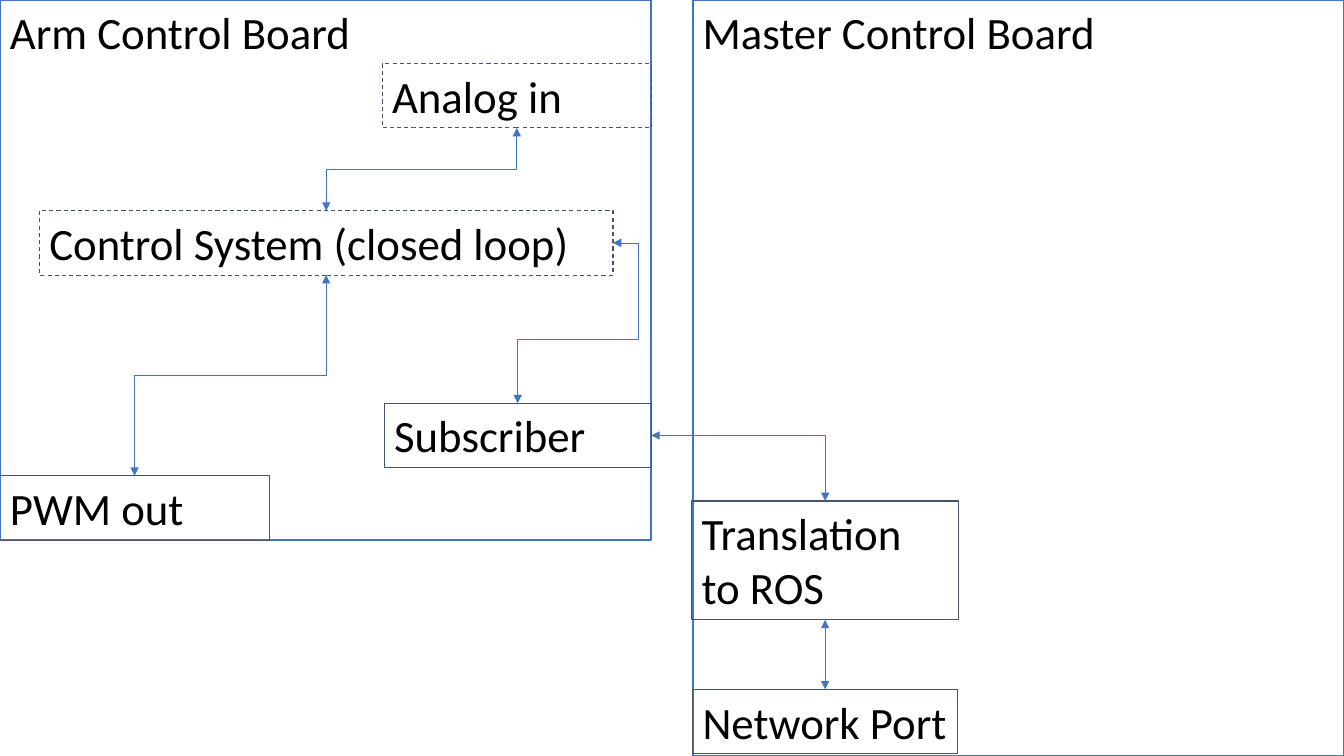
from lxml import etree
from pptx import Presentation
from pptx.dml.color import RGBColor
from pptx.enum.dml import MSO_LINE_DASH_STYLE as DASH
from pptx.enum.shapes import MSO_CONNECTOR, MSO_SHAPE
from pptx.enum.text import MSO_ANCHOR, PP_ALIGN
from pptx.oxml.ns import qn
from pptx.util import Inches, Pt

COLORS = {"blue": "4472C4", "slate": "44546A", "text": "000000"}
TOP, LEFT, BOTTOM, RIGHT = range(4)

presentation = Presentation()
presentation.slide_width = Inches(13.33)
presentation.slide_height = Inches(7.5)
slide = presentation.slides.add_slide(presentation.slide_layouts[6])

boxes = [
    ("Master Control Board", 6.87, 0, 6.46, 7.5, "blue", 1.5, None),
    ("Arm Control Board", 0, 0, 6.46, 5.36, "blue", 1.5, None),
    ("Translation to ROS", 6.86, 4.97, 2.65, 1.18, "slate", 0.75, None),
    ("Network Port", 6.87, 6.84, 2.63, 0.64, "slate", 0.75, None),
    ("Subscriber", 3.81, 4, 2.65, 0.64, "slate", 0.75, None),
    ("PWM out", 0, 4.72, 2.67, 0.64, "slate", 0.75, None),
    ("Control System (closed loop)", 0.39, 2.09, 5.69, 0.64, "slate", 0.75, DASH.DASH),
    ("Analog in", 3.79, 0.63, 2.67, 0.64, "slate", 0.75, DASH.DASH),
]
shapes = {}
for label, left, top, width, height, color, weight, dash in boxes:
    shape = slide.shapes.add_shape(
        MSO_SHAPE.RECTANGLE, Inches(left), Inches(top), Inches(width), Inches(height)
    )
    shape.shadow.inherit = False
    shape.fill.background()
    shape.line.color.rgb = RGBColor.from_string(COLORS[color])
    shape.line.width = Pt(weight)
    if dash:
        shape.line.dash_style = dash
    frame = shape.text_frame
    frame.word_wrap = True
    frame.vertical_anchor = MSO_ANCHOR.TOP
    paragraph = frame.paragraphs[0]
    paragraph.alignment = PP_ALIGN.LEFT
    run = paragraph.add_run()
    run.text = label
    run.font.name = "Calibri"
    run.font.size = Pt(32)
    run.font.color.rgb = RGBColor.from_string(COLORS["text"])
    shapes[label] = shape

links = [
    ("Translation to ROS", TOP, "Subscriber", RIGHT, "bentConnector2", []),
    ("Network Port", TOP, "Translation to ROS", BOTTOM, "bentConnector3", [50000]),
    ("Subscriber", TOP, "Control System (closed loop)", RIGHT, "bentConnector4", [39900, 126400]),
    ("PWM out", TOP, "Control System (closed loop)", BOTTOM, "bentConnector3", [50000]),
    ("Control System (closed loop)", TOP, "Analog in", BOTTOM, "bentConnector3", [50000]),
]
for source, source_side, target, target_side, geometry, adjustments in links:
    connector = slide.shapes.add_connector(MSO_CONNECTOR.ELBOW, 0, 0, 0, 0)
    connector.begin_connect(shapes[source], source_side)
    connector.end_connect(shapes[target], target_side)

    center_x = (connector.begin_x + connector.end_x) // 2
    center_y = (connector.begin_y + connector.end_y) // 2
    offset_x = connector.begin_y - center_y
    offset_y = center_x - connector.begin_x
    connector.begin_x, connector.begin_y = center_x + offset_x, center_y + offset_y
    connector.end_x, connector.end_y = center_x - offset_x, center_y - offset_y

    properties = connector._element.spPr
    properties.find(qn("a:xfrm")).set("rot", "5400000")
    preset = properties.find(qn("a:prstGeom"))
    preset.set("prst", geometry)
    guides = preset.find(qn("a:avLst"))
    if guides is None:
        guides = etree.SubElement(preset, qn("a:avLst"))
    for number, value in enumerate(adjustments, 1):
        etree.SubElement(guides, qn("a:gd"), name=f"adj{number}", fmla=f"val {value}")

    connector.line.color.rgb = RGBColor.from_string(COLORS["blue"])
    connector.line.width = Pt(0.5)
    line = properties.find(qn("a:ln"))
    for end in ("a:headEnd", "a:tailEnd"):
        etree.SubElement(line, qn(end), type="triangle")
    etree.SubElement(properties, qn("a:effectLst"))

presentation.save("out.pptx")
